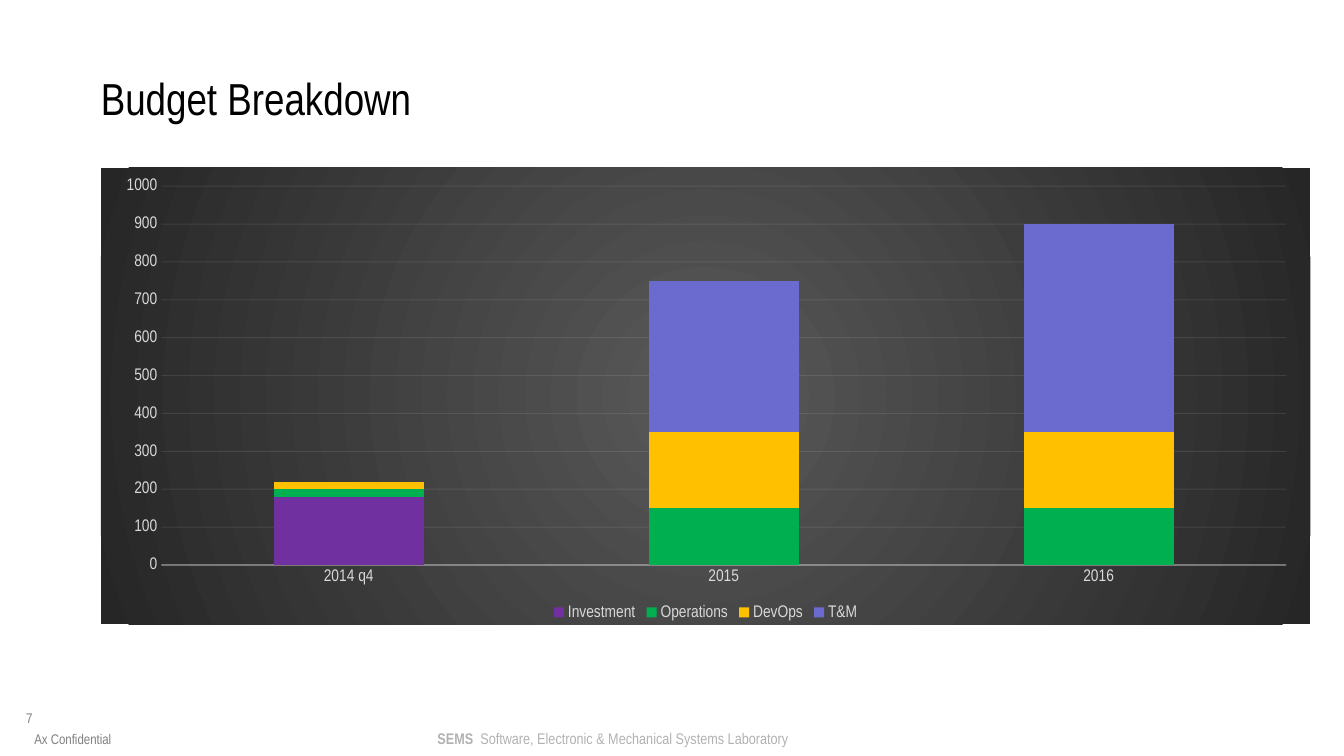
from lxml import etree
from pptx import Presentation, util as u
from pptx.chart.data import CategoryChartData
from pptx.dml.color import RGBColor
from pptx.enum import chart as ch, text
from pptx.oxml import parse_xml
from pptx.oxml.ns import nsdecls, qn

Pt = u.Pt
FONT = "Arial Narrow"
BLACK = RGBColor(0x00, 0x00, 0x00)
GRAY = RGBColor(0x80, 0x80, 0x80)
SILVER = RGBColor(0xB2, 0xB2, 0xB2)
LABEL = RGBColor(0xD9, 0xD9, 0xD9)
RULE = RGBColor(0xF2, 0xF2, 0xF2)
PURPLE = RGBColor(0x70, 0x30, 0xA0)
GREEN = RGBColor(0x00, 0xB0, 0x50)
AMBER = RGBColor(0xFF, 0xC0, 0x00)
LAVENDER = RGBColor(0x6B, 0x6B, 0xCF)
GLOW_CENTER, GLOW_EDGE = "595959", "262626"

# Content
TITLE = "Budget Breakdown"
PERIODS = ["2014 q4", "2015", "2016"]
BUDGET = [
    ("Investment", [180, 0, 0], PURPLE),
    ("Operations", [20, 150, 150], GREEN),
    ("DevOps", [20, 200, 200], AMBER),
    ("T&M", [0, 400, 550], LAVENDER),
]
# Footer: box in points, alignment, anchor, size, colour, runs (text, bold)
FOOTER = [
    ((18.7, 507, 51, 18), text.PP_ALIGN.LEFT, text.MSO_ANCHOR.TOP, 10, GRAY,
     [("7", False)]),
    ((312.5, 520.5, 262, 14), text.PP_ALIGN.LEFT, text.MSO_ANCHOR.TOP, 11, SILVER,
     [("SEMS", True),
      ("\tSoftware, Electronic & Mechanical Systems Laboratory", False)]),
    ((8, 517.7, 88, 16), text.PP_ALIGN.CENTER, text.MSO_ANCHOR.BOTTOM, 10, GRAY,
     [("Ax Confidential", False)]),
]
LAB_NAME_TAB = 30.6
TITLE_BOX = (72, 49, 864, 42)
CHART_BOX = (72, 120, 864, 326)
PLOT_LAYOUT = {"x": 0.05, "y": 0.04, "w": 0.93, "h": 0.83}


def style_font(font, size, color, bold=False):
    font.name, font.size, font.bold = FONT, Pt(size), bold
    font.color.rgb = color


def fill_frame(frame, runs, size, color, alignment, anchor):
    frame.margin_left = frame.margin_right = 0
    frame.margin_top = frame.margin_bottom = 0
    frame.word_wrap = True
    frame.auto_size = text.MSO_AUTO_SIZE.NONE
    frame.vertical_anchor = anchor
    paragraph = frame.paragraphs[0]
    paragraph.alignment = alignment
    for words, bold in runs:
        if "\t" in words:
            properties = paragraph._p.get_or_add_pPr()
            tabs = etree.SubElement(properties, qn("a:tabLst"))
            etree.SubElement(tabs, qn("a:tab"), pos=str(Pt(LAB_NAME_TAB)), algn="l")
        run = paragraph.add_run()
        run.text = words
        style_font(run.font, size, color, bold)


def style_line(line, width, percent):
    line.width = Pt(width)
    line.color.rgb = RULE
    color = line._ln.find(".//" + qn("a:srgbClr"))
    etree.SubElement(color, qn("a:alpha"), val=str(percent * 1000))


presentation = Presentation()
presentation.slide_width, presentation.slide_height = Pt(960), Pt(540)
slide = presentation.slides.add_slide(presentation.slide_layouts[5])

# Title
title = slide.shapes.title
title.left, title.top, title.width, title.height = map(Pt, TITLE_BOX)
fill_frame(title.text_frame, [(TITLE, False)], 32, BLACK,
           text.PP_ALIGN.LEFT, text.MSO_ANCHOR.MIDDLE)

# Footer
for box, alignment, anchor, size, color, runs in FOOTER:
    shape = slide.shapes.add_textbox(*map(Pt, box))
    fill_frame(shape.text_frame, runs, size, color, alignment, anchor)

# Stacked budget columns
data = CategoryChartData()
data.categories = PERIODS
for name, values, _ in BUDGET:
    data.add_series(name, values)
chart = slide.shapes.add_chart(
    ch.XL_CHART_TYPE.COLUMN_STACKED, *map(Pt, CHART_BOX), data).chart
chart.has_title = False
style_font(chart.font, 10, BLACK)
plot = chart.plots[0]
plot.gap_width, plot.overlap = 150, 100
plot.vary_by_categories = False
for series, (_, _, color) in zip(plot.series, BUDGET):
    series.format.fill.solid()
    series.format.fill.fore_color.rgb = color

# Axes and legend
for axis in (chart.category_axis, chart.value_axis):
    axis.major_tick_mark = axis.minor_tick_mark = ch.XL_TICK_MARK.NONE
    style_font(axis.tick_labels.font, 12, LABEL)
style_line(chart.category_axis.format.line, 1, 54)
value_axis = chart.value_axis
value_axis.minimum_scale, value_axis.maximum_scale = 0, 1000
value_axis.major_unit = 100
value_axis.format.line.fill.background()
value_axis.has_major_gridlines = True
style_line(value_axis.major_gridlines.format.line, 0.75, 10)
chart.has_legend = True
chart.legend.position = ch.XL_LEGEND_POSITION.BOTTOM
chart.legend.include_in_layout = False
style_font(chart.legend.font, 12, LABEL)

# Plot position inside the chart
chart_space = chart._chartSpace
plot_area = chart_space.find(".//" + qn("c:plotArea"))
for old_layout in plot_area.findall(qn("c:layout")):
    plot_area.remove(old_layout)
sizes = "".join(f'<c:{key} val="{value}"/>' for key, value in PLOT_LAYOUT.items())
plot_area.insert(0, parse_xml(
    f'<c:layout {nsdecls("c")}><c:manualLayout><c:layoutTarget val="inner"/>'
    f'<c:xMode val="edge"/><c:yMode val="edge"/>{sizes}'
    '</c:manualLayout></c:layout>'))

# Radial background
chart_space.find(qn("c:chart")).addnext(parse_xml(
    f'<c:spPr {nsdecls("c", "a")}><a:gradFill><a:gsLst>'
    f'<a:gs pos="0"><a:srgbClr val="{GLOW_CENTER}"/></a:gs>'
    f'<a:gs pos="100000"><a:srgbClr val="{GLOW_EDGE}"/></a:gs></a:gsLst>'
    '<a:path path="circle"><a:fillToRect l="50000" t="50000" r="50000" b="50000"/>'
    '</a:path></a:gradFill><a:ln><a:noFill/></a:ln></c:spPr>'))

presentation.save("out.pptx")
